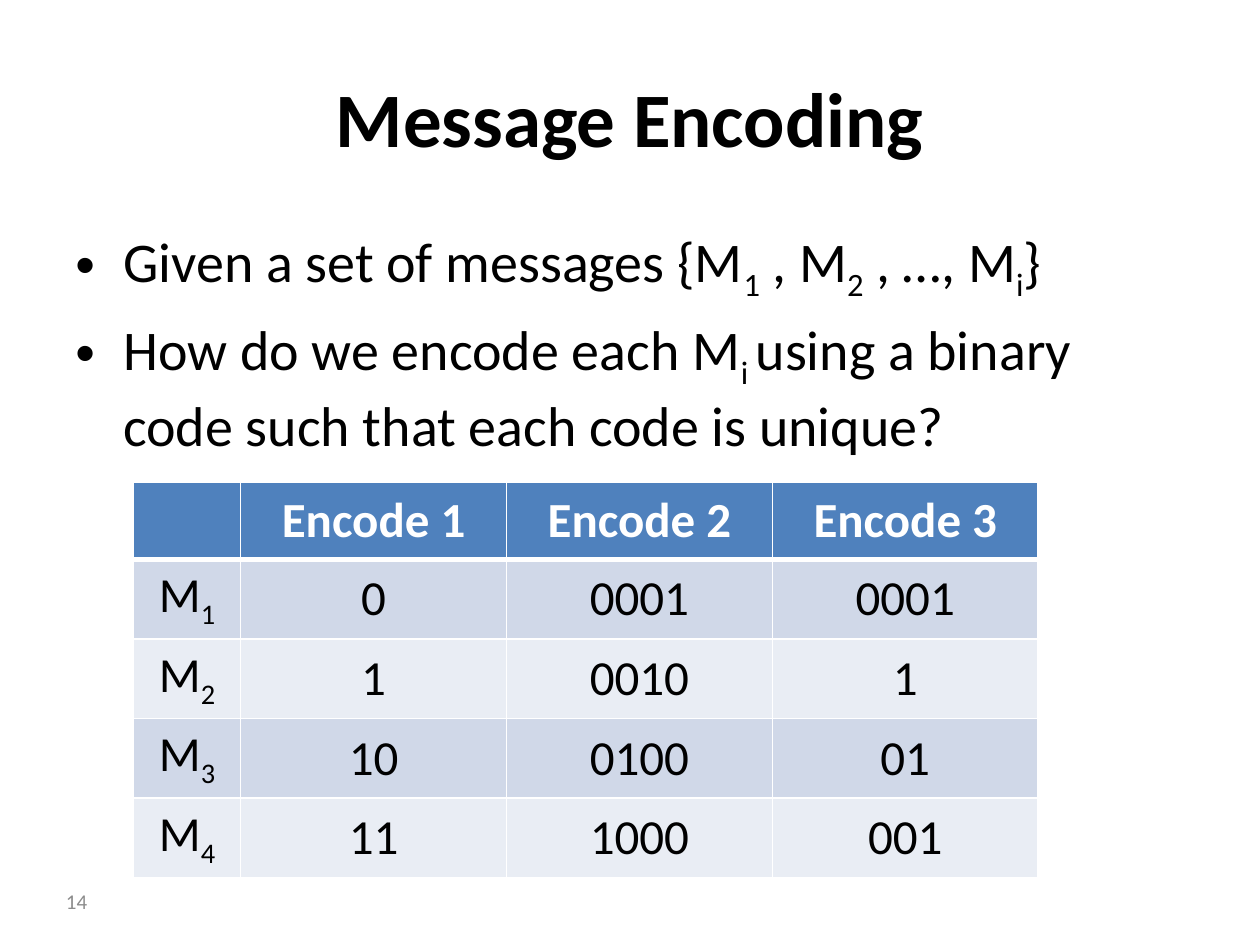
from dataclasses import dataclass

from lxml.etree import SubElement
from pptx import Presentation
from pptx.dml.color import RGBColor as RGB
from pptx.enum.text import MSO_ANCHOR as Anchor, PP_ALIGN as Align
from pptx.oxml.ns import qn
from pptx.util import Inches, Pt


@dataclass(frozen=True)
class Theme:
    font: str = "Calibri"
    black: str = "000000"
    white: str = "FFFFFF"
    gray: str = "8C8C8C"
    header: str = "4F81BD"
    bands: tuple = ("D0D8E8", "E9EDF4")
    title: int = 44
    body: int = 32
    cell: int = 28
    number: int = 12


class Deck:
    def __init__(self, prs, theme):
        self.theme = theme
        self.s = prs.slides.add_slide(prs.slide_layouts[6])

    def runs(self, p, parts, size, color, bold=False):
        """Add text parts in turn; every second part is a subscript."""
        for i, text in enumerate(parts):
            r = p.add_run()
            r.text = text
            r.font.name = self.theme.font
            r.font.size = Pt(size)
            r.font.bold = bold
            r.font.color.rgb = RGB.from_string(color)
            if i % 2:
                r._r.get_or_add_rPr().set("baseline", "-25000")

    def box(self, x, y, w, h, anchor):
        sp = self.s.shapes.add_textbox(Inches(x), Inches(y), Inches(w), Inches(h))
        tf = sp.text_frame
        tf.word_wrap = True
        tf.vertical_anchor = anchor
        return tf

    def label(self, text, x, y, w, h, size, color, align, bold=False):
        p = self.box(x, y, w, h, Anchor.MIDDLE).paragraphs[0]
        p.alignment = align
        self.runs(p, [text], size, color, bold)

    def bullets(self, items, x, y, w, h):
        t = self.theme
        tf = self.box(x, y, w, h, Anchor.TOP)
        for i, parts in enumerate(items):
            p = tf.add_paragraph() if i else tf.paragraphs[0]
            p.space_before = Pt(0.2 * t.body)
            pPr = p._p.get_or_add_pPr()
            pPr.set("marL", str(Inches(0.38)))
            pPr.set("indent", str(-Inches(0.38)))
            SubElement(pPr, qn("a:buFont"), typeface="Arial")
            SubElement(pPr, qn("a:buChar"), char="•")
            self.runs(p, parts, t.body, t.black)

    def borders(self, cell, top, bottom):
        tcPr = cell._tc.get_or_add_tcPr()
        for side, width in (("L", 1), ("R", 1), ("T", top), ("B", bottom)):
            ln = SubElement(tcPr, qn(f"a:ln{side}"), w=str(Pt(width)))
            fill = SubElement(ln, qn("a:solidFill"))
            SubElement(fill, qn("a:srgbClr"), val=self.theme.white)

    def table(self, rows, x, y, widths, row_h):
        t = self.theme
        frame = self.s.shapes.add_table(
            len(rows), len(widths), Inches(x), Inches(y),
            Inches(sum(widths)), Inches(row_h * len(rows)))
        tbl = frame.table
        for col, width in zip(tbl.columns, widths):
            col.width = Inches(width)
        for i, row in enumerate(rows):
            tbl.rows[i].height = Inches(row_h)
            head = i == 0
            for j, parts in enumerate(row):
                cell = tbl.cell(i, j)
                # Borders precede the fill in the cell properties
                self.borders(cell, 3 if i == 1 else 1, 3 if head else 1)
                cell.fill.solid()
                color = t.header if head else t.bands[(i - 1) % 2]
                cell.fill.fore_color.rgb = RGB.from_string(color)
                cell.vertical_anchor = Anchor.MIDDLE
                p = cell.text_frame.paragraphs[0]
                p.alignment = Align.CENTER
                self.runs(p, parts, t.cell, t.white if head else t.black, head)


def main():
    prs = Presentation()
    prs.slide_width, prs.slide_height = Inches(10), Inches(7.5)
    theme = Theme()
    deck = Deck(prs, theme)

    # Title
    deck.label("Message Encoding", 0.5, 0.3, 9, 1.25,
               theme.title, theme.black, Align.CENTER, bold=True)

    # Question
    deck.bullets([
        ["Given a set of messages {M", "1", " , M", "2", " , …, M", "i", "}"],
        ["How do we encode each M", "i ",
         "using a binary code such that each code is unique?"],
    ], 0.5, 1.75, 9, 4.95)

    # Code table
    codes = [("0", "0001", "0001"), ("1", "0010", "1"),
             ("10", "0100", "01"), ("11", "1000", "001")]
    rows = [[[]] + [[f"Encode {n}"] for n in (1, 2, 3)]]
    for n, row in enumerate(codes, 1):
        rows.append([["M", str(n)]] + [[code] for code in row])
    deck.table(rows, 1.06, 3.83, [0.85] + [2.11] * 3, 0.61)

    # Slide number
    deck.label("14", 0, 6.95, 0.79, 0.4, theme.number, theme.gray, Align.RIGHT)

    prs.save("out.pptx")


if __name__ == "__main__":
    main()
